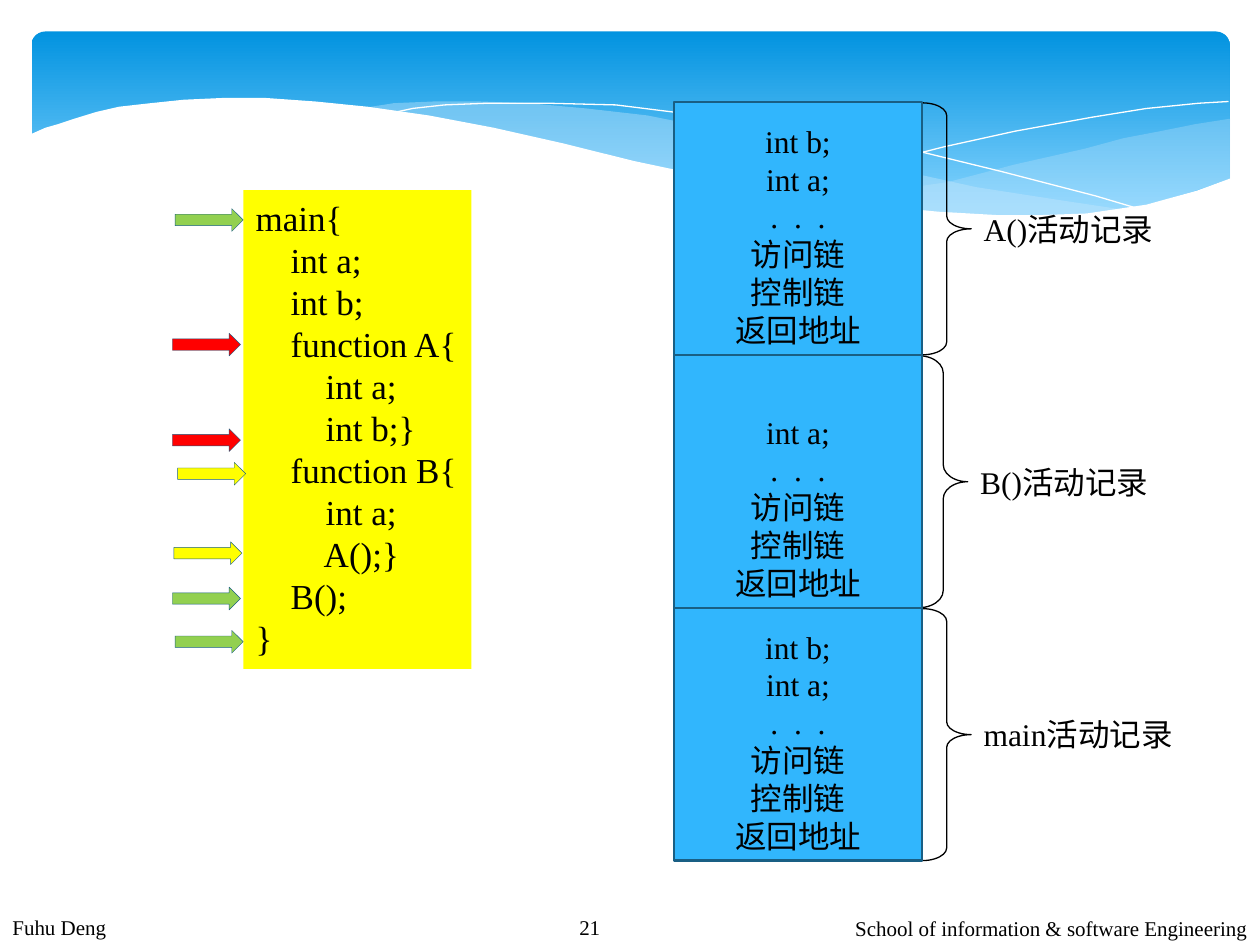
from lxml.etree import SubElement
from pptx import Presentation
from pptx.dml.color import RGBColor
from pptx.enum.shapes import MSO_SHAPE as Preset
from pptx.enum.text import MSO_ANCHOR as Anchor, PP_ALIGN as Align
from pptx.oxml.ns import qn
from pptx.util import Pt

COLORS = {
    "band_top": "0293E0", "band_bottom": "83D3FE", "haze": "C6E7FC",
    "white": "FFFFFF", "black": "000000", "box": "31B6FD", "edge": "195F84",
    "yellow": "FFFF00", "green": "92D050", "red": "FF0000",
}
FONT = "Times New Roman"


def style(shape, fill=None, line=None, width=0):
    shape.shadow.inherit = False
    if fill:
        shape.fill.solid()
        shape.fill.fore_color.rgb = RGBColor.from_string(COLORS[fill])
    else:
        shape.fill.background()
    if line:
        shape.line.color.rgb = RGBColor.from_string(COLORS[line])
        shape.line.width = Pt(width)
    else:
        shape.line.fill.background()


def write(shape, lines, size, align=Align.LEFT, anchor=Anchor.TOP, wrap=True):
    frame = shape.text_frame
    frame.word_wrap = wrap
    frame.vertical_anchor = anchor
    for index, line in enumerate(lines):
        paragraph = frame.add_paragraph() if index else frame.paragraphs[0]
        paragraph.alignment = align
        run = paragraph.add_run()
        run.text = line
        run.font.size = Pt(size)
        run.font.name = FONT
        run.font.color.rgb = RGBColor.from_string(COLORS["black"])


presentation = Presentation()
presentation.slide_width, presentation.slide_height = Pt(720), Pt(540)
slide = presentation.slides.add_slide(presentation.slide_layouts[6])
shapes = slide.shapes

# Gradient band
band = shapes.add_shape(Preset.ROUNDED_RECTANGLE, Pt(18), Pt(18), Pt(684.7), Pt(112.3))
band.adjustments[0] = 0.07
style(band)
band.fill.gradient()
band.fill.gradient_angle = 270
for stop, position, name in zip(band.fill.gradient_stops, (0, 0.9), ("band_top", "band_bottom")):
    stop.position = position
    stop.color.rgb = RGBColor.from_string(COLORS[name])

# Waves over the band: points, fill, opacity in percent (unfilled ones are white lines)
waves = [
    ([(702, 67.7), (682.6, 71.3), (663, 74.9), (641.5, 79.2), (620, 85),
      (579.6, 94.3), (542.2, 103.7), (508.3, 109.4), (475.9, 115.2),
      (507.6, 118.8), (536.4, 121.7), (562.3, 123.5), (586.1, 124),
      (607.7, 123.1), (627.8, 121.7), (645.8, 118.8), (663.1, 115.2),
      (683.3, 109.4), (702.7, 101.5), (702.7, 67.7)], "haze", 29),
    ([(643, 120.2), (602.6, 114.5), (558, 107.3), (508.3, 96.5), (452.9, 83.5),
      (430.6, 78.5), (409.7, 73.4), (389.5, 69.8), (370, 66.2), (334.8, 61.9),
      (302.4, 59), (273.6, 57.6), (247.7, 57.6), (225.4, 59), (205.9, 61.9),
      (232.6, 64.8), (260.6, 69.8), (290.9, 76.3), (323.3, 83.5), (381.6, 97.2),
      (432.7, 107.3), (478.8, 115.9), (520.6, 120.2), (556.6, 123.1),
      (588.9, 124.6), (617, 123.5), (643, 120.2)], "haze", 40),
    ([(222.5, 64.8), (236.2, 61.9), (254.2, 60.5), (278.6, 59), (311.8, 59),
      (352, 60.5), (400.3, 65.5), (457.9, 74.2), (523.4, 86.4), (572.4, 97.9),
      (625.7, 111.6), (653, 119.5)], None, 100),
    ([(441.4, 108.7), (470.2, 101.5), (500.4, 93.6), (538.6, 84.2), (580.3, 74.9),
      (623.5, 67), (655.2, 61.9), (684.7, 59), (702, 57.6)], None, 100),
    ([(703.4, 101.5), (684, 108.7), (655.2, 116.6), (621.4, 121.7), (592.6, 123.1),
      (571, 123.1), (535.7, 121.3), (495.4, 116.6), (450.7, 110.2), (399.6, 100.1),
      (362.2, 92.2), (321.8, 82.1), (281.5, 73.4), (244.8, 66.2), (210.2, 61.2),
      (180, 58.3), (152, 56.2), (127.4, 56.2), (105.1, 56.9), (85.7, 59),
      (68.4, 61.2), (54.7, 64.1), (42.5, 67.7), (33.1, 70.6), (25.9, 73.4),
      (16.6, 77), (16.6, 161.3), (703.4, 161.3)], "white", 100),
]
for points, fill, opacity in waves:
    builder = shapes.build_freeform(*points[0], scale=Pt(1))
    builder.add_line_segments(points[1:], close=bool(fill))
    wave = builder.convert_to_shape()
    style(wave, fill, None if fill else "white")
    if opacity < 100:
        color = wave.fill._xPr.find(qn("a:solidFill")).find(qn("a:srgbClr"))
        SubElement(color, qn("a:alpha"), val=str(opacity * 1000))

# Footer
footers = [
    (0, 519, 303, "Fuhu Deng", Align.LEFT),
    (303, 519, 68, "21", Align.CENTER),
    (375, 519.8, 345, "School of information & software Engineering", Align.RIGHT),
]
for left, top, width, text, align in footers:
    footer = shapes.add_textbox(Pt(left), Pt(top), Pt(width), Pt(20))
    write(footer, [text], 12, align)

# Program listing
code = shapes.add_shape(Preset.RECTANGLE, Pt(139), Pt(108.7), Pt(130.3), Pt(273.6))
style(code, "yellow")
write(code, [
    "main{",
    "    int a;",
    "    int b;",
    "    function A{",
    "        int a;",
    "        int b;}",
    "    function B{",
    "        int a;",
    "        A();}",
    "    B();",
    "}",
], 20, wrap=False)

# Execution arrows beside the listing
arrows = [
    (100.1, 119.2, "green"), (98.6, 190.4, "red"), (98.6, 245, "red"),
    (101.5, 264.2, "yellow"), (99.4, 309.6, "yellow"), (98.6, 335.5, "green"),
    (100.1, 360.2, "green"),
]
for left, top, name in arrows:
    arrow = shapes.add_shape(Preset.RIGHT_ARROW, Pt(left), Pt(top), Pt(38.9), Pt(13))
    style(arrow, name, "edge", 0.25)

# Stack of activation records: owner, variables, brace left, brace curve, label width
records = [
    ("A()", ["int b;", "int a;"], 527, 0.26, 112.3),
    ("B()", ["int a;"], 525, 0.35, 110.9),
    ("main", ["int b;", "int a;"], 527, 0.26, 124.6),
]
LINKS = [".  .  .", "访问链", "控制链", "返回地址"]
STACK_TOP, RECORD_HEIGHT = 58.3, 144.5
for index, (owner, variables, left, curve, label_width) in enumerate(records):
    top = STACK_TOP + index * RECORD_HEIGHT
    brace = shapes.add_shape(Preset.RIGHT_BRACE, Pt(left), Pt(top + 0.5), Pt(28), Pt(144))
    brace.adjustments[0] = curve
    style(brace, None, "black", 0.75)

    record = shapes.add_shape(Preset.RECTANGLE, Pt(385), Pt(top), Pt(142), Pt(RECORD_HEIGHT))
    style(record, "box", "edge", 1.25)
    write(record, variables + LINKS, 18, Align.CENTER, Anchor.BOTTOM)

    label = shapes.add_textbox(Pt(left + 28), Pt(top + 58), Pt(label_width), Pt(29))
    write(label, [owner + "活动记录"], 18)

presentation.save("out.pptx")
